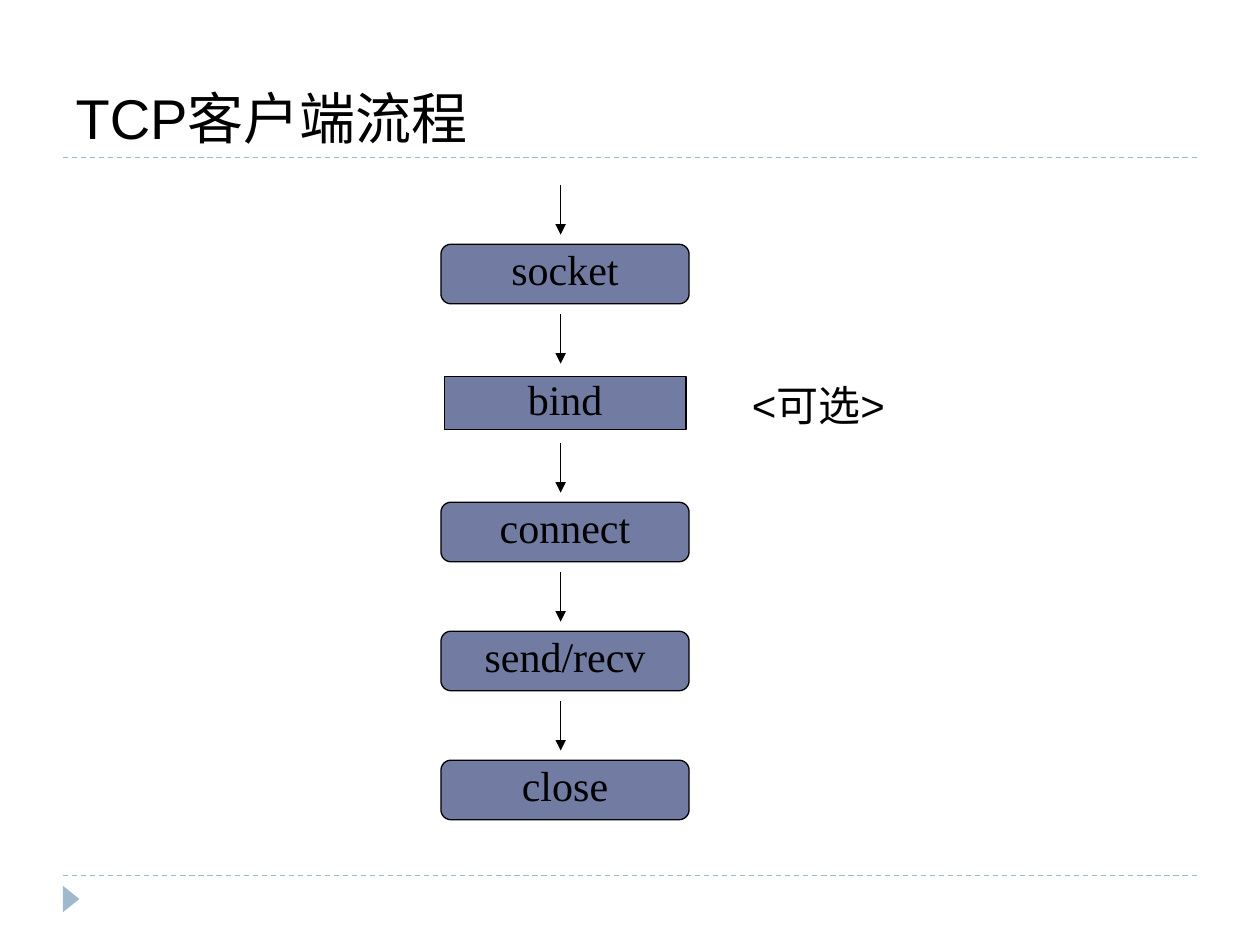
from dataclasses import dataclass

from lxml.etree import SubElement
from pptx import Presentation
from pptx.dml.color import RGBColor
from pptx.enum.dml import MSO_LINE
from pptx.enum.shapes import MSO_CONNECTOR, MSO_SHAPE
from pptx.enum.text import MSO_ANCHOR, PP_ALIGN
from pptx.oxml.ns import qn
from pptx.util import Pt

COLORS = {"text": "000000", "step": "727CA3", "accent": "9FB8CD"}
CENTER_X = 322.9
ARROW_X = 320.4
FIRST_CENTER_Y = 156.6
STEP_PITCH = 73.7
ARROW_OFFSET = 50.8
ARROW_LENGTH = 28.3


@dataclass
class Step:
    label: str
    width: float = 141.8
    height: float = 34
    kind: MSO_SHAPE = MSO_SHAPE.FLOWCHART_ALTERNATE_PROCESS


STEPS = [
    Step("socket"),
    Step("bind", 138.2, 30.2, MSO_SHAPE.RECTANGLE),
    Step("connect"),
    Step("send/recv"),
    Step("close"),
]


def color(name: str) -> RGBColor:
    return RGBColor.from_string(COLORS[name])


def style_paragraph(paragraph, size: float, font: str, alignment) -> None:
    paragraph.alignment = alignment
    paragraph.font.size = Pt(size)
    paragraph.font.name = font
    paragraph.font.color.rgb = color("text")


def add_line(slide, start: tuple[float, float], end: tuple[float, float], color_name: str):
    line = slide.shapes.add_connector(
        MSO_CONNECTOR.STRAIGHT, *(Pt(value) for value in (*start, *end)))
    line.line.color.rgb = color(color_name)
    line.line.width = Pt(0.75)
    SubElement(line._element.spPr, qn("a:effectLst"))
    return line


def add_rule(slide, y: float) -> None:
    add_line(slide, (36, y), (684, y), "accent").line.dash_style = MSO_LINE.DASH


def add_arrow(slide, top: float) -> None:
    arrow = add_line(slide, (ARROW_X, top), (ARROW_X, top + ARROW_LENGTH), "text")
    SubElement(arrow.line._get_or_add_ln(), qn("a:tailEnd"), type="triangle")


def add_step(slide, step: Step, center_y: float) -> None:
    shape = slide.shapes.add_shape(
        step.kind, Pt(CENTER_X - step.width / 2), Pt(center_y - step.height / 2),
        Pt(step.width), Pt(step.height))
    shape.shadow.inherit = False
    shape.fill.solid()
    shape.fill.fore_color.rgb = color("step")
    shape.line.color.rgb = color("text")
    shape.line.width = Pt(0.75)
    frame = shape.text_frame
    frame.text = step.label
    frame.vertical_anchor = MSO_ANCHOR.TOP
    frame.paragraphs[0].line_spacing = 0.8
    style_paragraph(frame.paragraphs[0], 24, "Times New Roman", PP_ALIGN.CENTER)


def main() -> None:
    presentation = Presentation()
    presentation.slide_width, presentation.slide_height = Pt(720), Pt(540)
    slide = presentation.slides.add_slide(presentation.slide_layouts[5])

    # Frame: dashed rules and corner marker
    for y in (500.4, 90):
        add_rule(slide, y)
    marker = slide.shapes.add_shape(
        MSO_SHAPE.ISOSCELES_TRIANGLE, Pt(33.1), Pt(509), Pt(15.1), Pt(9.4))
    marker.rotation = 90
    marker.shadow.inherit = False
    marker.fill.solid()
    marker.fill.fore_color.rgb = color("accent")
    marker.line.fill.background()

    # Title
    title = slide.shapes.title
    title.left, title.top, title.width, title.height = Pt(36), Pt(12.2), Pt(648), Pt(77.8)
    title.text_frame.text = "TCP客户端流程"
    title.text_frame.vertical_anchor = MSO_ANCHOR.BOTTOM
    style_paragraph(title.text_frame.paragraphs[0], 32, "Arial", PP_ALIGN.LEFT)

    # Flow: an arrow leads into each step
    for index, step in enumerate(STEPS):
        center_y = FIRST_CENTER_Y + index * STEP_PITCH
        add_arrow(slide, center_y - ARROW_OFFSET)
        add_step(slide, step, center_y)

    # Note beside the bind step
    note = slide.shapes.add_textbox(Pt(422.6), Pt(213.1), Pt(147.6), Pt(36)).text_frame
    note.word_wrap = True
    note.text = "<可选>"
    style_paragraph(note.paragraphs[0], 24, "Arial", PP_ALIGN.LEFT)

    presentation.save("out.pptx")


if __name__ == "__main__":
    main()
